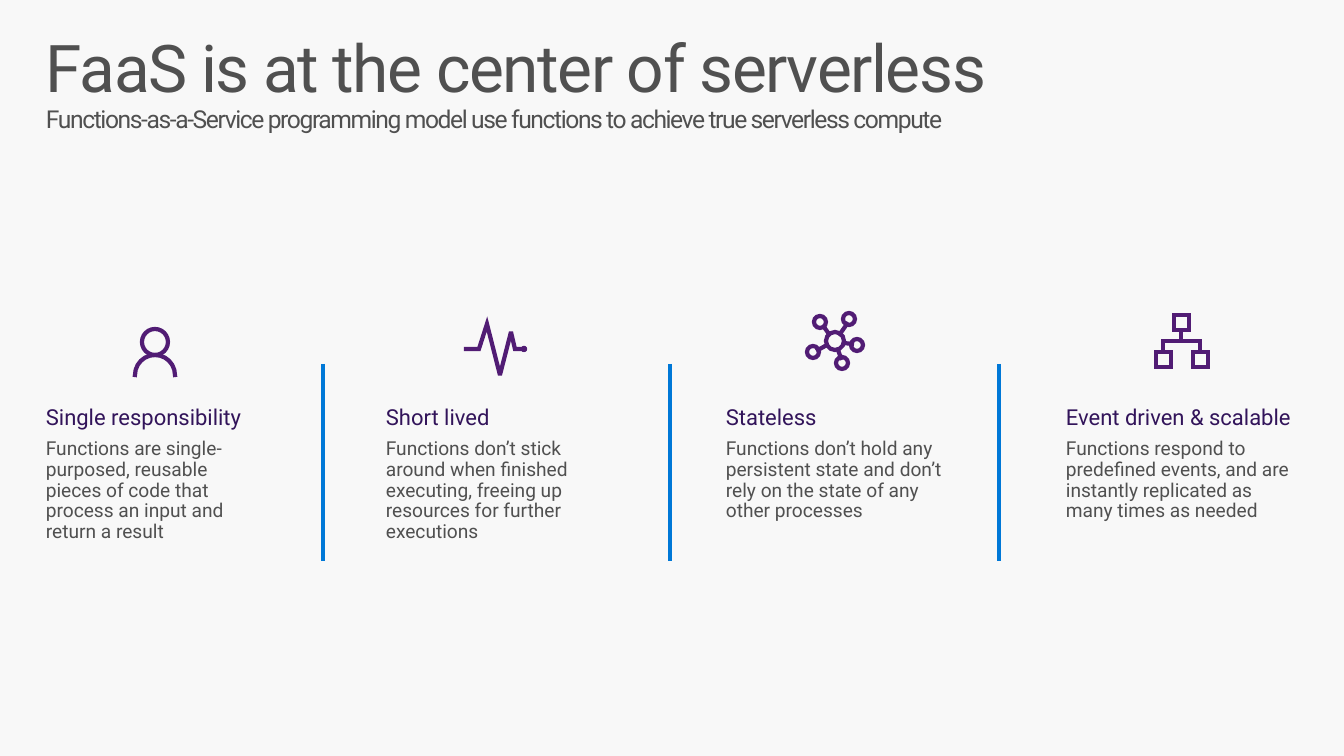
from dataclasses import dataclass

from lxml import etree
from pptx import Presentation
from pptx.dml.color import RGBColor
from pptx.enum.shapes import MSO_CONNECTOR
from pptx.enum.text import MSO_ANCHOR, MSO_AUTO_SIZE
from pptx.oxml.ns import qn
from pptx.util import Emu, Pt

PX = 914400 / 100.8
FONT = "Roboto"
BACKGROUND = RGBColor(0xF8, 0xF8, 0xF8)
GRAY = RGBColor(0x50, 0x50, 0x50)
BLUE = RGBColor(0x00, 0x78, 0xD7)
INDIGO = RGBColor(0x32, 0x14, 0x5A)
PURPLE = RGBColor(0x51, 0x1C, 0x74)
LINE_WIDTH = Pt(3)
LINE_SPACING = 0.9
TITLE_SPACING = -1.03
COLUMN_LEFT, COLUMN_PITCH = 36, 340
COLUMN_TOP, COLUMN_HEIGHT = 402, 126
DIVIDER_TOP, DIVIDER_BOTTOM = 364, 561
DIVIDERS = [323, 670, 999]
QUARTER_TURN = 5400000

STRAIGHT = MSO_CONNECTOR.STRAIGHT
TOP = MSO_ANCHOR.TOP
GROW = MSO_AUTO_SIZE.SHAPE_TO_FIT_TEXT


@dataclass(frozen=True)
class Contour:
    points: list[tuple[int, int]]
    radius: int = 0
    start_quarter: int = 0
    closed: bool = False


@dataclass(frozen=True)
class Trait:
    heading: str
    body: str
    width: int
    icon: list[Contour]


def circle(x: int, y: int, r: int) -> Contour:
    points = [(x + r, y), (x, y + r), (x - r, y), (x, y - r), (x + r, y)]
    return Contour(points, r, closed=True)


def square(x: int, y: int, side: int = 15) -> Contour:
    corners = [(x, y), (x + side, y), (x + side, y + side), (x, y + side)]
    return Contour(corners, closed=True)


PERSON = [
    circle(155, 342, 13),
    Contour([(135, 375), (155, 355), (175, 375)], 20, 2),
]
PULSE = [
    Contour([(466, 349), (479, 349), (487, 324), (500, 375), (511, 332),
             (515, 349), (523, 349)]),
    circle(524, 349, 1),
]
NETWORK = [
    circle(835, 341, 9),
    *(circle(x, y, 6) for x, y in [(849, 319), (820, 322), (813, 352),
                                   (842, 363), (857, 345)]),
    Contour([(847, 324), (840, 334)]),
    Contour([(829, 334), (824, 327)]),
    Contour([(818, 350), (827, 345)]),
    Contour([(841, 358), (838, 350)]),
    Contour([(844, 343), (852, 344)]),
]
HIERARCHY = [
    square(1156, 352),
    square(1193, 352),
    square(1174, 315),
    Contour([(1181, 330), (1181, 341)]),
    Contour([(1200, 352), (1200, 341), (1163, 341), (1163, 352)]),
]
TRAITS = [
    Trait("Single responsibility",
          "Functions are single-purposed, reusable pieces of code that "
          "process an input and return a result", 237, PERSON),
    Trait("Short lived",
          "Functions don’t stick around when finished executing, freeing up "
          "resources for further executions", 259, PULSE),
    Trait("Stateless",
          "Functions don’t hold any persistent state and don’t rely on the "
          "state of any other processes", 237, NETWORK),
    Trait("Event driven & scalable",
          "Functions respond to predefined events, and are instantly "
          "replicated as many times as needed", 251, HIERARCHY),
]


def emu(px: int) -> Emu:
    return Emu(round(px * PX))


def add_run(p, text: str, size: float, color: RGBColor, spacing: float = 0) -> None:
    r = p.add_run()
    r.text = text
    r.font.name = FONT
    r.font.size = Pt(size)
    r.font.color.rgb = color
    if spacing:
        r.font._element.set("spc", str(round(spacing * 100)))


def add_text_frame(s, left: int, top: int, width: int, height: int):
    sp = s.shapes.add_textbox(emu(left), emu(top), emu(width), emu(height))
    tf = sp.text_frame
    tf.word_wrap = True
    tf.vertical_anchor = TOP
    return tf


def add_title(s) -> None:
    tf = add_text_frame(s, 30, 26, 1285, 99)
    tf.margin_left = tf.margin_right = emu(16)
    tf.margin_top = tf.margin_bottom = emu(10)
    p = tf.paragraphs[0]
    p.line_spacing = LINE_SPACING
    add_run(p, "FaaS is at the center of serverless", 47, GRAY, TITLE_SPACING)
    p.add_line_break()
    add_run(p, "Functions-as-a-Service programming model use functions "
               "to achieve true serverless compute", 17.6, GRAY, TITLE_SPACING)


def add_divider(s, x: int) -> None:
    divider = s.shapes.add_connector(
        STRAIGHT, emu(x), emu(DIVIDER_TOP), emu(x), emu(DIVIDER_BOTTOM))
    divider.line.color.rgb = BLUE
    divider.line.width = LINE_WIDTH
    etree.SubElement(divider._element.spPr, qn("a:effectLst"))


def bend_segments(sp, contours: list[Contour]) -> None:
    segments = iter(list(sp._element.iter(qn("a:lnTo"))))
    for contour in contours:
        for i in range(len(contour.points) - 1):
            segment = next(segments)
            if contour.radius:
                arc = etree.Element(qn("a:arcTo"))
                arc.set("wR", str(contour.radius))
                arc.set("hR", str(contour.radius))
                arc.set("stAng", str((contour.start_quarter + i) * QUARTER_TURN))
                arc.set("swAng", str(QUARTER_TURN))
                segment.getparent().replace(segment, arc)


def add_icon(s, contours: list[Contour]) -> None:
    builder = s.shapes.build_freeform(*contours[0].points[0], scale=PX)
    for i, contour in enumerate(contours):
        if i:
            builder.move_to(*contour.points[0])
        builder.add_line_segments(contour.points[1:], close=contour.closed)
    sp = builder.convert_to_shape()
    bend_segments(sp, contours)
    sp.shadow.inherit = False
    sp.fill.background()
    sp.line.color.rgb = PURPLE
    sp.line.width = LINE_WIDTH
    ln = sp.line._get_or_add_ln()
    ln.set("cap", "sq")
    etree.SubElement(ln, qn("a:miter")).set("lim", "800000")


def add_trait(s, trait: Trait, left: int) -> None:
    tf = add_text_frame(s, left, COLUMN_TOP, trait.width, COLUMN_HEIGHT)
    tf.auto_size = GROW
    heading, body = tf.paragraphs[0], tf.add_paragraph()
    heading.line_spacing = body.line_spacing = LINE_SPACING
    heading.space_after = Pt(5.9)
    body.space_after = Pt(2.9)
    add_run(heading, trait.heading, 15.7, INDIGO)
    add_run(body, trait.body, 13.7, GRAY)
    add_icon(s, trait.icon)


def main() -> None:
    prs = Presentation()
    prs.slide_width, prs.slide_height = emu(1344), emu(756)
    s = prs.slides.add_slide(prs.slide_layouts[6])
    s.background.fill.solid()
    s.background.fill.fore_color.rgb = BACKGROUND

    add_title(s)
    for x in DIVIDERS:
        add_divider(s, x)
    for i, trait in enumerate(TRAITS):
        add_trait(s, trait, COLUMN_LEFT + i * COLUMN_PITCH)

    prs.save("out.pptx")


if __name__ == "__main__":
    main()
